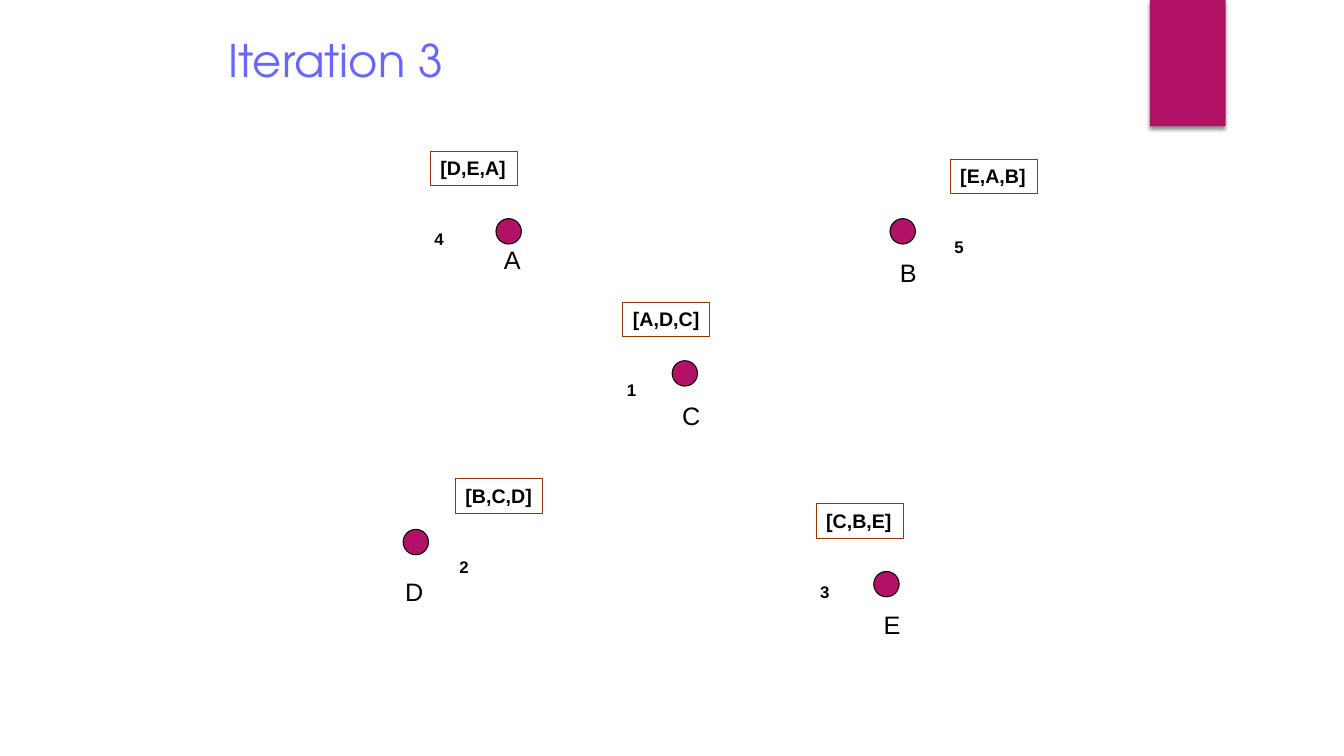
from lxml import etree
from pptx import Presentation
from pptx import util as u
from pptx.dml.color import RGBColor
from pptx.enum import shapes, text
from pptx.oxml import ns

COLOURS = {"accent": "B31166", "title": "6767FF", "ink": "000000", "frame": "993300"}
DOT = 0.64

# name, dot position, label offset, vector offset, vector, cost (cm; offsets from the dot)
NODES = [
    ("A", (12.5, 5.51), (-0.05, 0.51), (-1.65, -1.7), "[D,E,A]", "4"),
    ("B", (22.43, 5.51), (0, 0.84), (1.52, -1.5), "[E,A,B]", "5"),
    ("C", (16.94, 9.09), (0, 0.87), (-1.24, -1.47), "[A,D,C]", "1"),
    ("D", (10.16, 13.34), (-0.2, 1.06), (1.32, -1.27), "[B,C,D]", "2"),
    ("E", (22.02, 14.4), (0, 0.84), (-1.45, -1.7), "[C,B,E]", "3"),
]


def colour(name):
    return RGBColor.from_string(COLOURS[name])


def write(shape, content, size, font="Arial", ink="ink", bold=False,
          anchor=text.MSO_ANCHOR.TOP, wrap=False):
    frame = shape.text_frame
    frame.word_wrap = wrap
    frame.vertical_anchor = anchor
    para = frame.paragraphs[0]
    para.alignment = text.PP_ALIGN.LEFT
    span = para.add_run()
    span.text = content
    span.font.size = u.Pt(size)
    span.font.name = font
    span.font.bold = bold
    span.font.color.rgb = colour(ink)


def add_box(parent, kind, box, fill=None, line=None):
    """Add a preset shape without shadow; fill and line are colour names."""
    shape = parent.add_shape(kind, *map(u.Cm, box))
    shape.shadow.inherit = False
    if fill:
        shape.fill.solid()
        shape.fill.fore_color.rgb = colour(fill)
    else:
        shape.fill.background()
    if line:
        shape.line.color.rgb = colour(line)
        shape.line.width = u.Pt(0.75)
    else:
        shape.line.fill.background()
    return shape


def add_text(parent, box, content, size, **style):
    write(parent.add_textbox(*map(u.Cm, box)), content, size, **style)


def add_corner_block(page, box):
    block = add_box(page.shapes, shapes.MSO_SHAPE.RECTANGLE, box, fill="accent")
    effects = block._element.spPr.find(ns.qn("a:effectLst"))
    shadow = etree.SubElement(effects, ns.qn("a:outerShdw"), blurRad=str(u.Pt(3)),
                              dist=str(u.Pt(2)), dir="5400000", rotWithShape="0")
    shade = etree.SubElement(shadow, ns.qn("a:srgbClr"), val=COLOURS["ink"])
    etree.SubElement(shade, ns.qn("a:alpha"), val="45000")


def add_title(page, box, content):
    title = page.shapes.title
    title.left, title.top, title.width, title.height = map(u.Cm, box)
    write(title, content, 32, font="TeX Gyre Adventor", ink="title",
          anchor=text.MSO_ANCHOR.MIDDLE, wrap=True)


def add_tag(page, left, top, vector, cost):
    """Add the framed vector with its cost below, as one group."""
    group = page.shapes.add_group_shape().shapes
    add_text(group, (left - 0.15, top + 1.83, 0.74, 0.76), cost, 12, bold=True)
    frame = add_box(group, shapes.MSO_SHAPE.RECTANGLE, (left, top, 2.19, 0.86), line="frame")
    write(frame, vector, 14, bold=True)


def add_node(page, name, position, label_offset, tag_offset, vector, cost):
    left, top = position
    add_box(page.shapes, shapes.MSO_SHAPE.OVAL, (left, top, DOT, DOT),
            fill="accent", line="ink")
    label = (left + label_offset[0], top + label_offset[1], 0.95, 1.02)
    add_text(page.shapes, label, name, 18)
    add_tag(page, left + tag_offset[0], top + tag_offset[1], vector, cost)


def main():
    deck = Presentation()
    deck.slide_width, deck.slide_height = u.Cm(33.87), u.Cm(19.05)
    page = deck.slides.add_slide(deck.slide_layouts.get_by_name("Title Only"))
    add_corner_block(page, (28.98, 0, 1.91, 3.18))
    add_title(page, (5.51, 0.64, 22.86, 1.7), "Iteration 3")
    for node in NODES:
        add_node(page, *node)
    deck.save("out.pptx")


if __name__ == "__main__":
    main()
